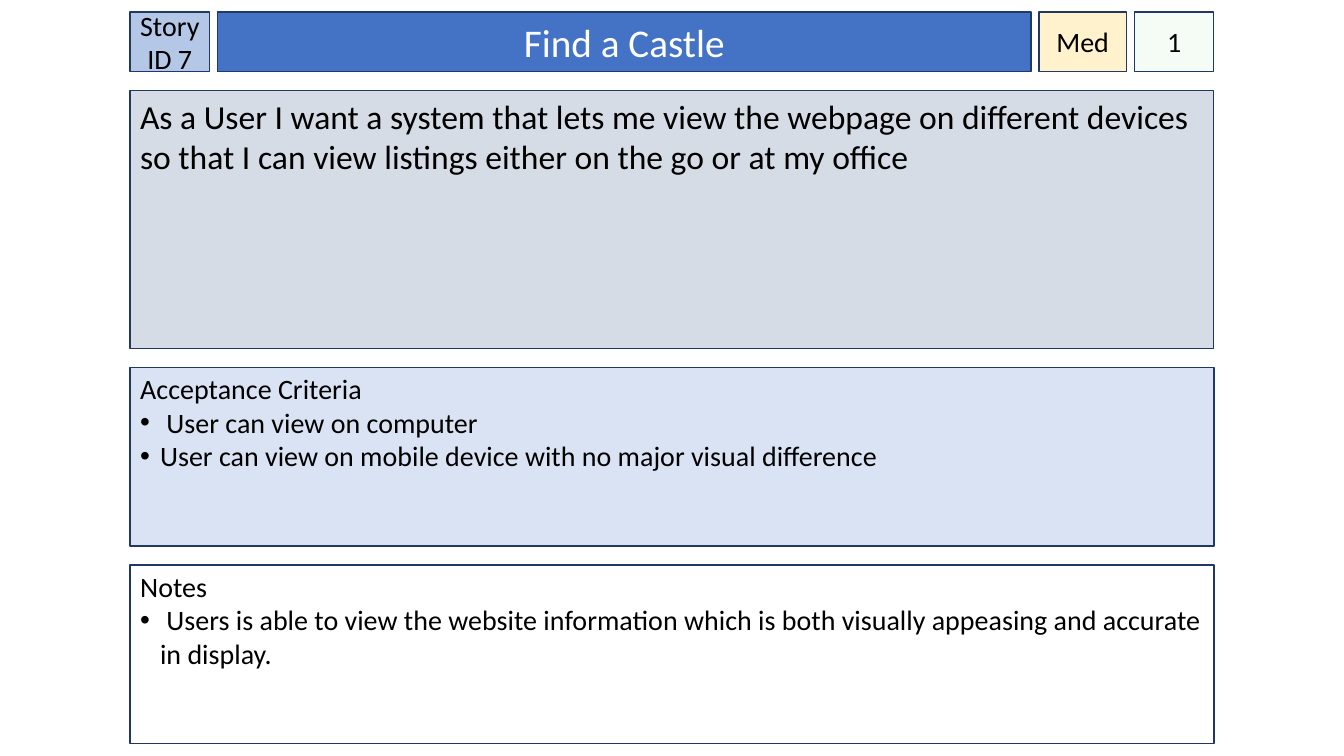
from pptx import Presentation
from pptx.dml.color import RGBColor
from pptx.enum.shapes import MSO_SHAPE
from pptx.enum.text import MSO_ANCHOR, MSO_AUTO_SIZE, PP_ALIGN
from pptx.oxml.ns import qn
from pptx.util import Cm, Pt
from lxml.etree import SubElement

COLORS = {
    "id": "B4C7E7", "title": "4472C4", "priority": "FFF2CC", "points": "CCF0CD",
    "story": "D6DCE5", "criteria": "DAE3F3", "notes": "FFFFFF",
    "line": "203864", "dark": "000000", "light": "FFFFFF",
}
LEFT, TOP, WIDTH = 3.28, 0.3, 27.31
ROW_GAP, HEADER_GAP = 0.48, 0.2
HEADER_H, STORY_H, LIST_H = 1.5, 6.5, 4.5


def rgb(name):
    """Return the named colour."""
    return RGBColor.from_string(COLORS[name])


def style_box(sp, box, fill):
    """Place a shape in its box and give it fill, outline and text frame."""
    sp.left, sp.top, sp.width, sp.height = (Cm(v) for v in box)
    sp.fill.solid()
    sp.fill.fore_color.rgb = rgb(fill)
    sp.line.color.rgb = rgb("line")
    sp.line.width = Pt(1)
    sp.shadow.inherit = False
    tf = sp.text_frame
    tf.auto_size = MSO_AUTO_SIZE.NONE
    tf.word_wrap = True
    return tf


def write(p, text, size, color="dark", align=PP_ALIGN.LEFT):
    """Set the text of a paragraph and format it."""
    p.text = text
    p.alignment = align
    p.space_before = Pt(0)
    for r in p.runs:
        r.font.name = "Calibri"
        r.font.size = Pt(size)
        r.font.color.rgb = rgb(color)


def add_rect(s):
    """Add a plain rectangle."""
    return s.shapes.add_shape(MSO_SHAPE.RECTANGLE, 0, 0, 0, 0)


def build_header(s, box, story_id, title, priority, points):
    """Build the row with story ID, title, priority and points."""
    x, y, w, h = box
    side, mid = 2, 2.21
    title_w = w - 2 * side - mid - 3 * HEADER_GAP
    cells = [
        (add_rect(s), side, story_id, "id"),
        (s.shapes.title, title_w, title, "title"),
        (add_rect(s), mid, priority, "priority"),
        (add_rect(s), side, points, "points"),
    ]
    for sp, cell_w, text, fill in cells:
        tf = style_box(sp, (x, y, cell_w, h), fill)
        tf.vertical_anchor = MSO_ANCHOR.MIDDLE
        if fill == "title":
            write(tf.paragraphs[0], text, 28, "light", PP_ALIGN.CENTER)
        else:
            tf.margin_left = tf.margin_right = 0
            write(tf.paragraphs[0], text, 20, align=PP_ALIGN.CENTER)
        if fill == "points":
            color = sp.fill._xPr.find(qn("a:solidFill"))[0]
            SubElement(color, qn("a:alpha"), val="20000")
        x += cell_w + HEADER_GAP


def build_story(s, box, text):
    """Build the story statement."""
    tf = style_box(add_rect(s), box, "story")
    tf.vertical_anchor = MSO_ANCHOR.TOP
    write(tf.paragraphs[0], text, 24)


def build_list(sp, box, fill, heading, items):
    """Build a heading with bulleted items in a body placeholder."""
    tf = style_box(sp, box, fill)
    tf.vertical_anchor = MSO_ANCHOR.TOP
    tf.margin_top = Cm(0.1)
    for i, text in enumerate([heading] + items):
        p = tf.add_paragraph() if i else tf.paragraphs[0]
        write(p, text, 20)
        pPr = p._p.get_or_add_pPr()
        indent = Cm(0.5) if i else 0
        pPr.set("marL", str(indent))
        pPr.set("indent", str(-indent))
        if i:
            SubElement(pPr, qn("a:buFont"), typeface="Arial")
            SubElement(pPr, qn("a:buChar"), char="•")
        else:
            SubElement(pPr, qn("a:buNone"))


def build_story_card(prs):
    """Build the story card slide from its four rows."""
    s = prs.slides.add_slide(prs.slide_layouts[3])
    boxes, y = [], TOP
    for h in (HEADER_H, STORY_H, LIST_H, LIST_H):
        boxes.append((LEFT, y, WIDTH, h))
        y += h + ROW_GAP
    header, story, criteria, notes = boxes
    build_header(s, header, "Story ID 7", "Find a Castle", "Med", "1")
    build_story(s, story, "As a User I want a system that lets me view the webpage on "
                "different devices so that I can view listings either on the go or at my office")
    build_list(s.placeholders[1], criteria, "criteria", "Acceptance Criteria", [
        " User can view on computer",
        "User can view on mobile device with no major visual difference",
    ])
    build_list(s.placeholders[2], notes, "notes", "Notes", [
        " Users is able to view the website information which is both visually "
        "appeasing and accurate in display.",
    ])


def main():
    """Create the presentation and save it."""
    prs = Presentation()
    prs.slide_width, prs.slide_height = Cm(33.87), Cm(19.05)
    build_story_card(prs)
    prs.save("out.pptx")


if __name__ == "__main__":
    main()
